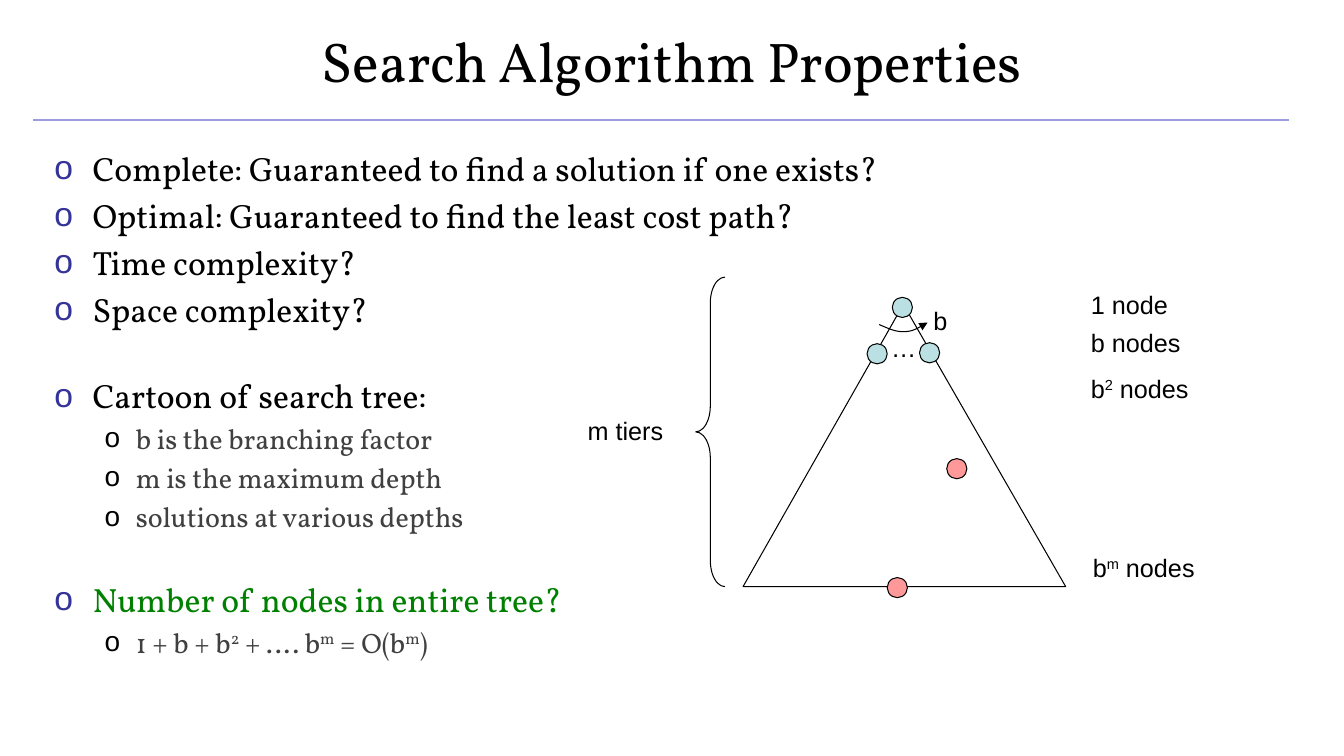
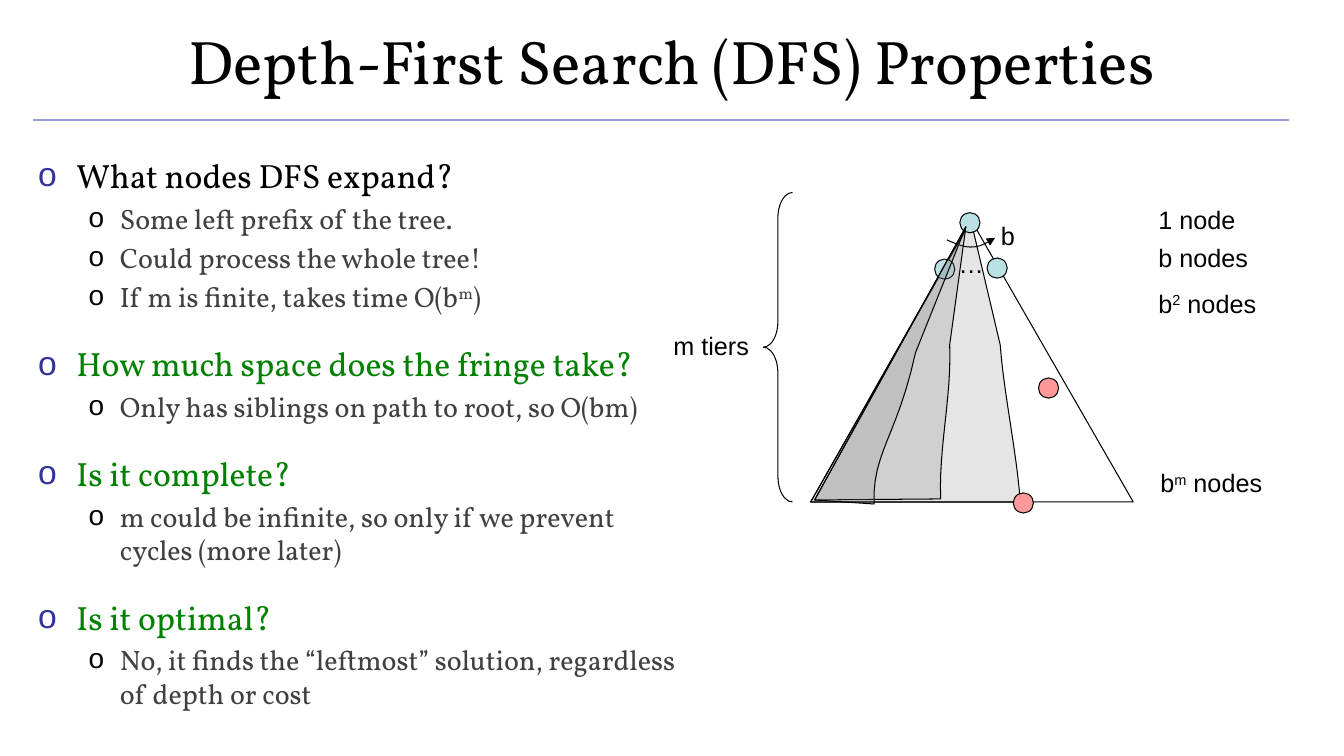
"""Build two slides on search tree properties, each with bullets and a tree diagram."""
from lxml.etree import SubElement
from pptx import Presentation
from pptx.dml.color import RGBColor
from pptx.enum.shapes import MSO_CONNECTOR, MSO_SHAPE
from pptx.enum.text import MSO_ANCHOR, PP_ALIGN
from pptx.oxml.ns import qn
from pptx.util import Inches, Pt

BLACK, GREY, GREEN = "000000", "404040", "008000"
NAVY, RULE, NODE, GOAL, SHADE = "333399", "9C9CDF", "BBE0E3", "FF9999", "808080"
BODY_FACE, LABEL_FACE = "Vollkorn", "Arial"
NODE_SIZE = 0.2


def write(paragraph, text, face, size, color):
    """Add runs to a paragraph; pieces between carets are superscript."""
    for index, piece in enumerate(text.split("^")):
        run = paragraph.add_run()
        run.text = piece
        run.font.name, run.font.size = face, Pt(size)
        run.font.color.rgb = RGBColor.from_string(color)
        if index % 2:
            run.font._element.set("baseline", "30000")


def outline(slide, start, segments, shift=(0, 0), fill=None, closed=True):
    """Draw line segments (2 numbers) and cubic curves (6 numbers) as one outline."""
    points = [start]
    for segment in segments:
        if len(segment) == 2:
            points.append(segment)
            continue
        corners = [points[-1], segment[:2], segment[2:4], segment[4:]]
        for step in range(1, 13):
            t = step / 12
            weights = ((1 - t) ** 3, 3 * t * (1 - t) ** 2, 3 * t * t * (1 - t), t ** 3)
            points.append(tuple(sum(w * c[axis] for w, c in zip(weights, corners)) for axis in (0, 1)))
    points = [(Inches(x + shift[0]), Inches(y + shift[1])) for x, y in points]
    builder = slide.shapes.build_freeform(*points[0])
    builder.add_line_segments(points[1:], close=closed)
    shape = builder.convert_to_shape()
    shape.shadow.inherit = False
    if fill:
        shape.fill.solid()
        shape.fill.fore_color.rgb = RGBColor.from_string(fill)
        SubElement(shape._element.spPr.find(".//" + qn("a:srgbClr")), qn("a:alpha"), val="20000")
    else:
        shape.fill.background()
    shape.line.color.rgb = RGBColor.from_string(BLACK)
    shape.line.width = Pt(0.75)
    return shape


slides = [
    {
        "title": "Search Algorithm Properties",
        "title_size": 40,
        "body": (0.44, 1.42, 12.44, 5.17),
        "gap": 28,
        "bullets": [
            (0, BLACK, "Complete: Guaranteed to find a solution if one exists?"),
            (0, BLACK, "Optimal: Guaranteed to find the least cost path?"),
            (0, BLACK, "Time complexity?"),
            (0, BLACK, "Space complexity?"),
            (0, BLACK, "Cartoon of search tree:"),
            (1, GREY, "b is the branching factor"),
            (1, GREY, "m is the maximum depth"),
            (1, GREY, "solutions at various depths"),
            (0, GREEN, "Number of nodes in entire tree?"),
            (1, GREY, "1 + b + b^2^ + …. b^m^ = O(b^m^)"),
        ],
        "gap_before": (4, 8),
        "tree_shift": (0, 0),
        "tiers_left": 5.73,
        "goals": [(8.8, 5.73), (9.39, 4.55)],
        "shades": [],
    },
    {
        "title": "Depth-First Search (DFS) Properties",
        "title_size": 44,
        "body": (0.28, 1.49, 6.52, 5.17),
        "gap": 16.8,
        "bullets": [
            (0, BLACK, "What nodes DFS expand?"),
            (1, GREY, "Some left prefix of the tree."),
            (1, GREY, "Could process the whole tree!"),
            (1, GREY, "If m is finite, takes time O(b^m^)"),
            (0, GREEN, "How much space does the fringe take?"),
            (1, GREY, "Only has siblings on path to root, so O(bm)"),
            (0, GREEN, "Is it complete?"),
            (1, GREY, "m could be infinite, so only if we prevent cycles (more later)"),
            (0, GREEN, "Is it optimal?"),
            (1, GREY, "No, it finds the “leftmost” solution, regardless of depth or cost"),
        ],
        "gap_before": (4, 6, 8),
        "tree_shift": (0.67, -0.84),
        "tiers_left": 6.58,
        "goals": [(10.05, 4.89), (10.3, 3.75)],
        "shades": [
            ((8.04, 4.98), [(10.12, 4.98), (10.08, 4.46, 9.96, 3.93, 9.92, 3.42), (9.63, 2.19)]),
            ((8.08, 4.96), [(9.33, 4.95), (9.31, 4.44, 9.44, 3.93, 9.42, 3.42), (9.58, 2.25)]),
            ((8.08, 4.96), [(8.67, 5), (8.65, 4.49, 8.9, 4.33, 9.08, 3.5), (9.58, 2.25)]),
        ],
    },
]
nodes = [(8.85, 2.95), (8.6, 3.41), (9.12, 3.4)]
tree_labels = [
    (8.74, 3.25, 0.3, "…"),
    (9.16, 2.98, 0.33, "b"),
    (10.72, 2.82, 1.22, "1 node"),
    (10.72, 3.2, 1.22, "b nodes"),
    (10.72, 3.65, 1.22, "b^2^ nodes"),
    (10.74, 5.43, 1.6, "b^m^ nodes"),
]
levels = [(24, 0.38, 0.38, NAVY), (20, 0.81, 0.31, BLACK)]

deck = Presentation()
deck.slide_width, deck.slide_height = Inches(13.33), Inches(7.5)

for content in slides:
    slide = deck.slides.add_slide(deck.slide_layouts[6])
    dx, dy = shift = content["tree_shift"]

    rule = slide.shapes.add_connector(
        MSO_CONNECTOR.STRAIGHT, Inches(0.33), Inches(1.19), Inches(12.78), Inches(1.19))
    rule.line.color.rgb = RGBColor.from_string(RULE)
    rule.line.width = Pt(1)
    SubElement(rule._element.spPr, qn("a:effectLst"))

    for start, segments in content["shades"][:1]:
        outline(slide, start, segments, fill=SHADE)

    title = slide.shapes.add_textbox(0, Inches(-0.03), Inches(13.33), Inches(1.25)).text_frame
    title.word_wrap = True
    title.vertical_anchor = MSO_ANCHOR.MIDDLE
    title.paragraphs[0].alignment = PP_ALIGN.CENTER
    write(title.paragraphs[0], content["title"], BODY_FACE, content["title_size"], BLACK)

    body = slide.shapes.add_textbox(*map(Inches, content["body"])).text_frame
    body.word_wrap = True
    for index, (level, color, text) in enumerate(content["bullets"]):
        size, indent, hanging, bullet_color = levels[level]
        paragraph = body.add_paragraph() if index else body.paragraphs[0]
        properties = paragraph._p.get_or_add_pPr()
        properties.set("marL", str(Inches(indent)))
        properties.set("indent", str(-Inches(hanging)))
        SubElement(SubElement(properties, qn("a:buClr")), qn("a:srgbClr"), val=bullet_color)
        SubElement(properties, qn("a:buFont"), typeface=LABEL_FACE)
        SubElement(properties, qn("a:buChar"), char="o")
        paragraph.level = level
        if index:
            extra = content["gap"] if index in content["gap_before"] else 0
            paragraph.space_before = Pt(0.2 * size + extra)
        write(paragraph, text, BODY_FACE, size, color)

    outline(slide, (7.37, 5.82), [(10.57, 5.82), (8.96, 3.02)], shift)
    branch_arrow = outline(
        slide, (8.72, 3.22),
        [(8.81, 3.26, 8.9, 3.3, 8.98, 3.29), (9.06, 3.29, 9.13, 3.24, 9.2, 3.2)],
        shift, closed=False)
    SubElement(branch_arrow._element.spPr.find(qn("a:ln")), qn("a:tailEnd"), type="triangle")

    brace = slide.shapes.add_shape(
        MSO_SHAPE.LEFT_BRACE, Inches(6.9 + dx), Inches(2.75 + dy), Inches(0.29), Inches(3.07))
    brace.adjustments[0], brace.adjustments[1] = 0.884, 0.5
    brace.shadow.inherit = False
    brace.fill.background()
    brace.line.color.rgb = RGBColor.from_string(BLACK)
    brace.line.width = Pt(0.75)

    circles = [(x + dx, y + dy, NODE) for x, y in nodes]
    circles += [(x, y, GOAL) for x, y in content["goals"]]
    for x, y, color in circles:
        circle = slide.shapes.add_shape(
            MSO_SHAPE.OVAL, Inches(x), Inches(y), Inches(NODE_SIZE), Inches(NODE_SIZE))
        circle.shadow.inherit = False
        circle.fill.solid()
        circle.fill.fore_color.rgb = RGBColor.from_string(color)
        circle.line.color.rgb = RGBColor.from_string(BLACK)
        circle.line.width = Pt(0.75)

    tiers_label = (content["tiers_left"] - dx, 4.07, 1.38, "m tiers")
    for x, y, width, text in tree_labels + [tiers_label]:
        label = slide.shapes.add_textbox(
            Inches(x + dx), Inches(y + dy), Inches(width), Inches(0.4)).text_frame
        label.word_wrap = True
        write(label.paragraphs[0], text, LABEL_FACE, 18, BLACK)

    for start, segments in content["shades"][1:]:
        outline(slide, start, segments, fill=SHADE)

deck.save("out.pptx")
